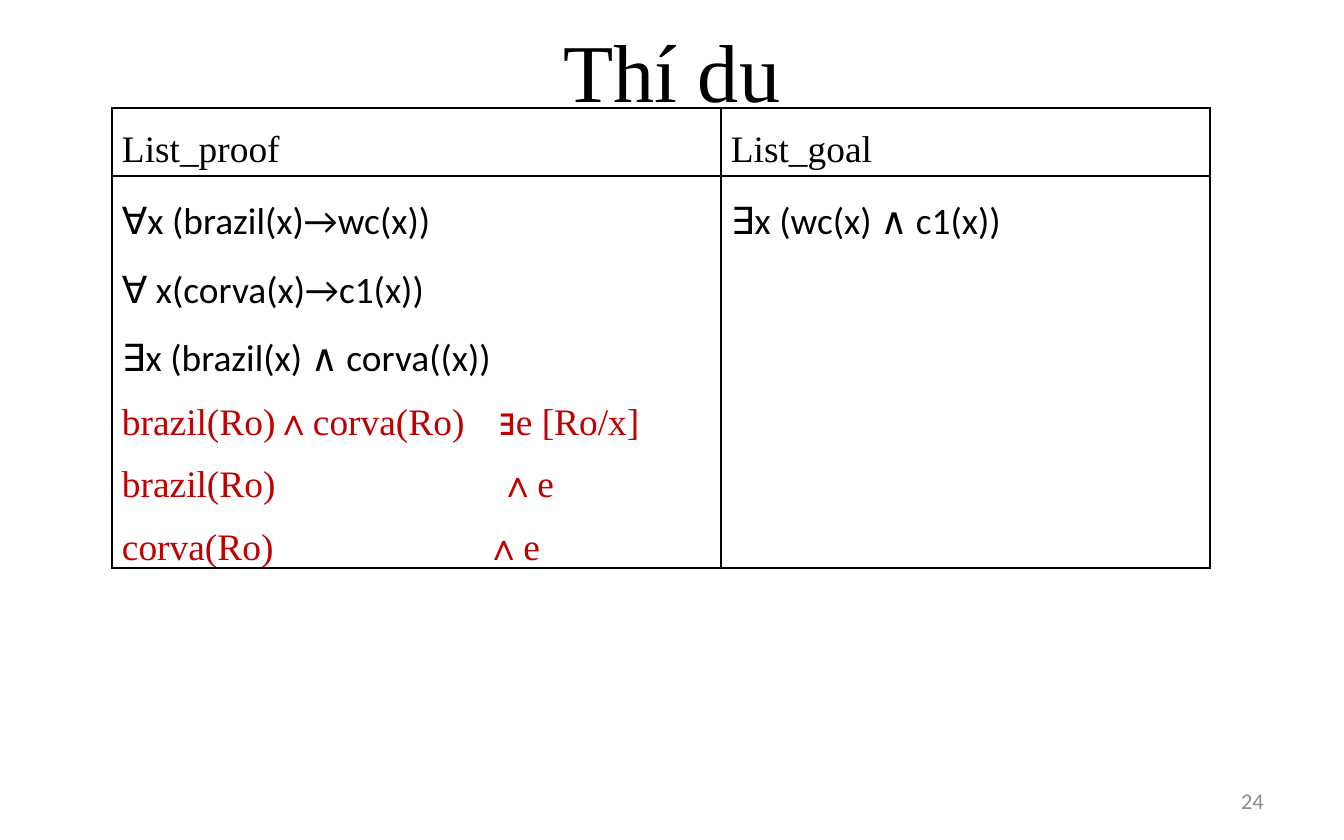
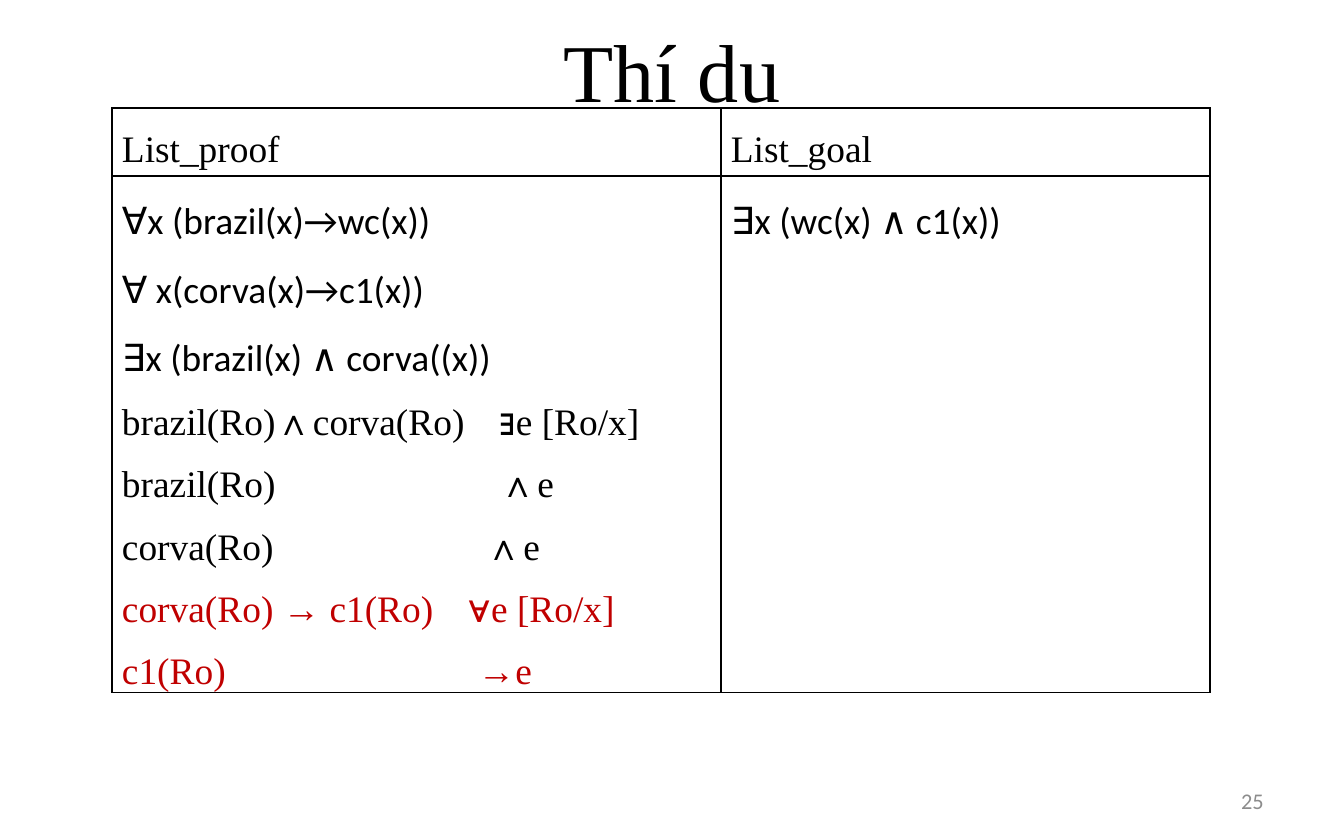
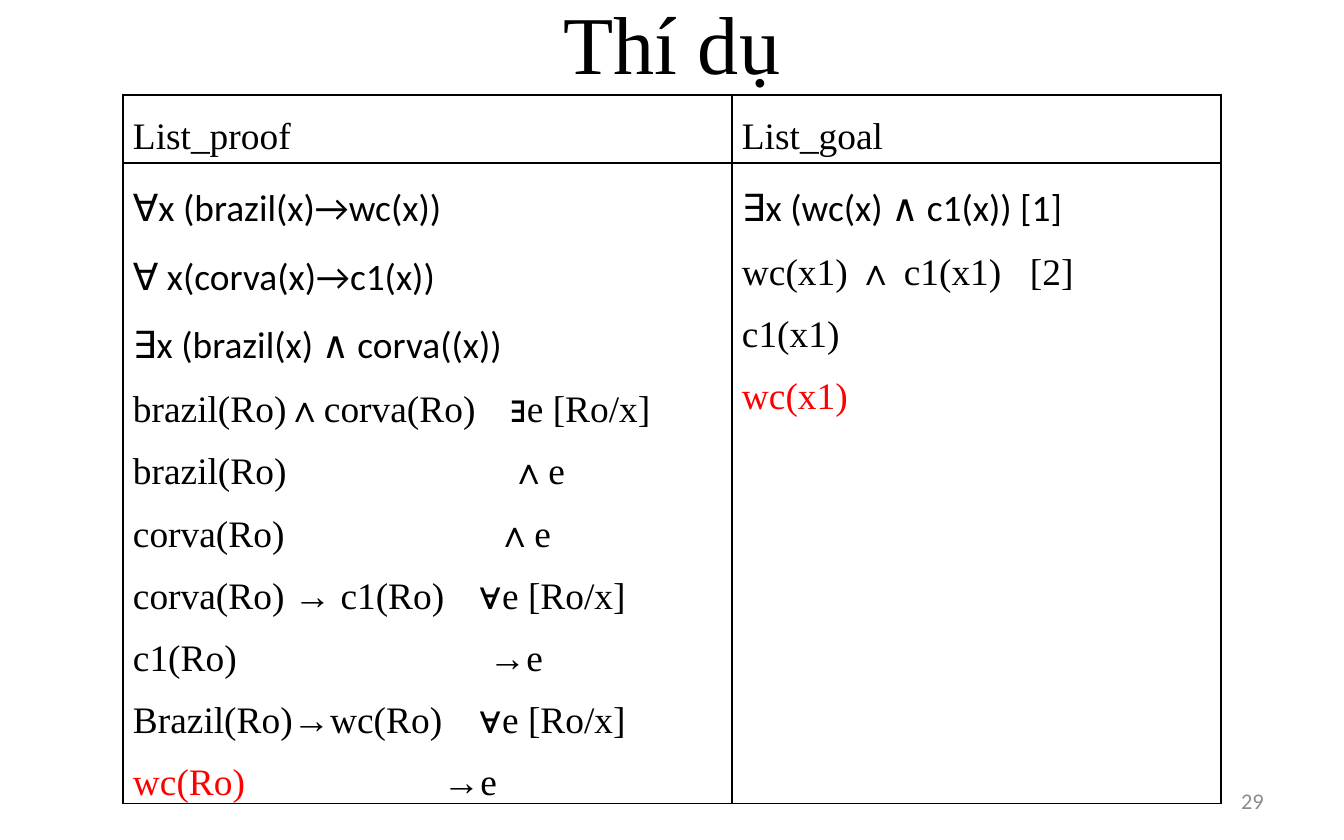
from pptx import Presentation, util as u
from pptx.dml.color import RGBColor
from pptx.enum import text
from pptx.oxml.ns import qn
from lxml import etree


def px(n):
    return u.Emu(round(n * 914400 / 134.4))


def add_run(p, words, font, size, color):
    r = p.add_run()
    r.text = words
    for key, value in {"name": font, "size": u.Pt(size), "bold": False}.items():
        setattr(r.font, key, value)
    r.font.color.rgb = RGBColor.from_string(color)


SERIF, SANS = "Times New Roman", "Calibri"
BLACK, WHITE, GREY, DARK_RED, RED = "000000", "FFFFFF", "8C8C8C", "C00000", "FF0000"
PROOF = [
    ("∀x (brazil(x)→wc(x))", "", 0),
    ("∀ x(corva(x)→c1(x))", "", 0),
    ("∃x (brazil(x) ∧ corva((x))", "", 0),
    ("brazil(Ro)∧corva(Ro)", "∃e [Ro/x]", 378),
    ("brazil(Ro)", "∧e", 378),
    ("corva(Ro)", "∧e", 364),
    ("corva(Ro) → c1(Ro)", "∀e [Ro/x]", 347),
    ("c1(Ro)", "→e", 356),
    ("Brazil(Ro)→wc(Ro)", "∀e [Ro/x]", 347),
    ("wc(Ro)", "→e", 310),
]
GOAL = [("∃x (wc(x) ∧ c1(x))", "", 0)]
LAST_GOAL = [
    ("∃x (wc(x) ∧ c1(x)) [1]", "", 0),
    ("wc(x1) ∧ c1(x1)", "[2]", 288),
    ("c1(x1)", "", 0),
    ("wc(x1)", "", 0),
]
SLIDES = [
    ("24", 0, 112, 108, PROOF[:6], 3, GOAL, 1, DARK_RED, DARK_RED),
    ("25", 0, 112, 108, PROOF[:8], 6, GOAL, 1, DARK_RED, DARK_RED),
    ("29", -28, 123, 95, PROOF, 9, LAST_GOAL, 3, RED, BLACK),
]

prs = Presentation()
prs.slide_width, prs.slide_height = px(1344), px(840)

for number, title_top, left, top, proof, new_proof, goal, new_goal, accent, rule_color in SLIDES:
    s = prs.slides.add_slide(prs.slide_layouts[5])
    sp = s.shapes.title
    sp.left, sp.top, sp.width, sp.height = px(67), px(title_top), px(1210), px(140)
    tf = sp.text_frame
    tf.vertical_anchor = text.MSO_ANCHOR.MIDDLE
    p = tf.paragraphs[0]
    p.alignment = text.PP_ALIGN.CENTER
    add_run(p, "Thí dụ", SERIF, 44, BLACK)

    row_heights = [68, 20 + 62 * len(proof)]
    table = s.shapes.add_table(2, 2, px(left), px(top), px(1098), px(sum(row_heights))).table
    table.first_row = table.horz_banding = False
    for column, width in zip(table.columns, [609, 489]):
        column.width = px(width)
    for row, height in zip(table.rows, row_heights):
        row.height = px(height)

    contents = [
        ([("List_proof", "", 0)], 1), ([("List_goal", "", 0)], 1),
        (proof, new_proof), (goal, new_goal),
    ]
    for cell, (lines, first_new) in zip(table.iter_cells(), contents):
        cell.fill.solid()
        cell.fill.fore_color.rgb = RGBColor.from_string(WHITE)
        for side, margin in {"left": 10, "right": 10, "top": 0, "bottom": 0}.items():
            setattr(cell, "margin_" + side, px(margin))
        for i, edge in enumerate(["lnL", "lnR", "lnT", "lnB"]):
            ln = etree.Element(qn("a:" + edge), w=str(u.Pt(1)))
            fill = etree.SubElement(ln, qn("a:solidFill"))
            etree.SubElement(fill, qn("a:srgbClr"), val=BLACK)
            cell._tc.get_or_add_tcPr().insert(i, ln)

        tf = cell.text_frame
        for i, (formula, rule, tab) in enumerate(lines):
            p = tf.paragraphs[0] if i == 0 else tf.add_paragraph()
            p.alignment = text.PP_ALIGN.JUSTIFY
            p.line_spacing = 1.5
            font = SANS if formula[0] in "∀∃" else SERIF
            add_run(p, formula, font, 20, accent if i >= first_new else BLACK)
            if rule:
                tabs = etree.SubElement(p._p.get_or_add_pPr(), qn("a:tabLst"))
                etree.SubElement(tabs, qn("a:tab"), pos=str(px(tab)), algn="l")
                add_run(p, "\t" + rule, font, 20, rule_color if i >= first_new else BLACK)

    tf = s.shapes.add_textbox(px(964), px(779), px(313), px(44)).text_frame
    tf.word_wrap = True
    tf.vertical_anchor = text.MSO_ANCHOR.MIDDLE
    p = tf.paragraphs[0]
    p.alignment = text.PP_ALIGN.RIGHT
    add_run(p, number, SANS, 12, GREY)

prs.save("out.pptx")
